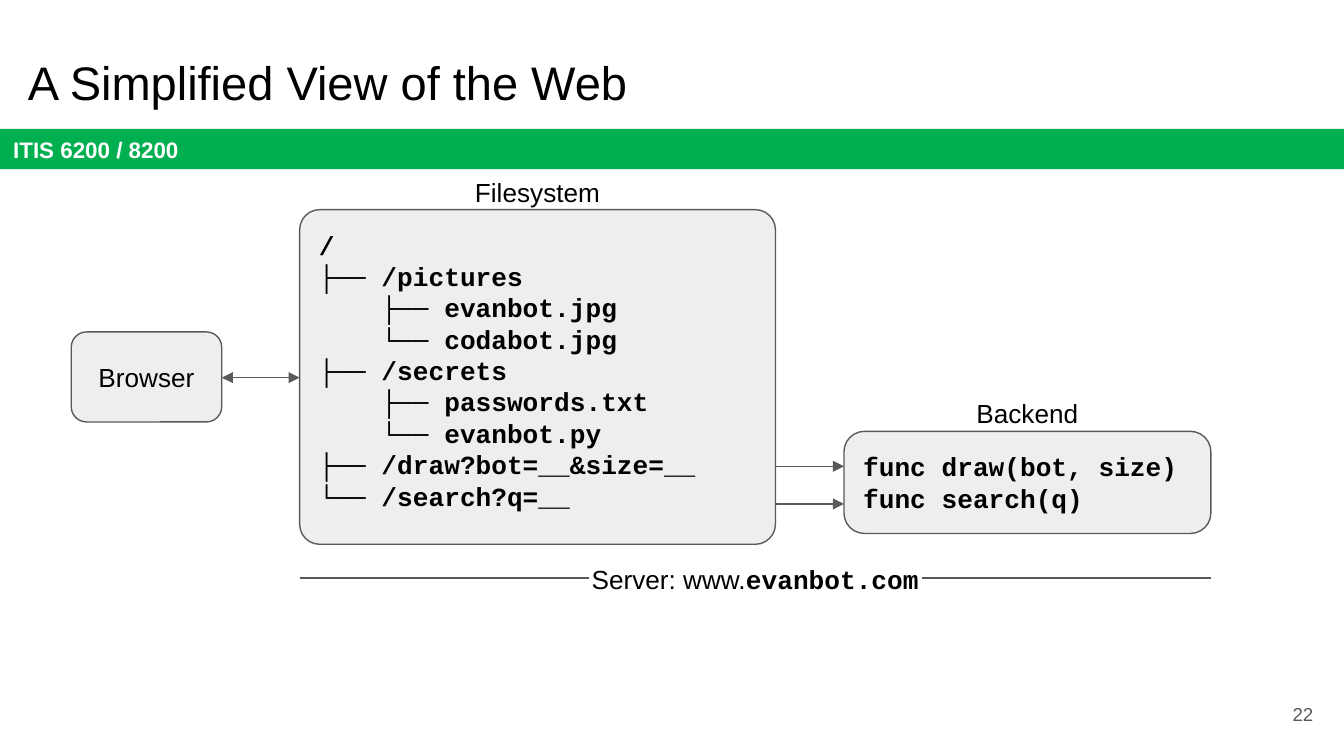
from lxml import etree
from pptx import Presentation
from pptx.dml.color import RGBColor
from pptx.enum.shapes import MSO_CONNECTOR, MSO_SHAPE
from pptx.enum.text import MSO_ANCHOR, PP_ALIGN
from pptx.oxml.ns import qn
from pptx.util import Inches, Pt

GREEN = RGBColor(0x00, 0xB0, 0x50)
WHITE = RGBColor(0xFF, 0xFF, 0xFF)
BLACK = RGBColor(0x00, 0x00, 0x00)
GRAY = RGBColor(0x59, 0x59, 0x59)
LIGHT_GRAY = RGBColor(0xEE, 0xEE, 0xEE)

STRAIGHT = MSO_CONNECTOR.STRAIGHT
RECTANGLE, ROUNDED = MSO_SHAPE.RECTANGLE, MSO_SHAPE.ROUNDED_RECTANGLE
TOP, MIDDLE = MSO_ANCHOR.TOP, MSO_ANCHOR.MIDDLE
LEFT, CENTER, RIGHT = PP_ALIGN.LEFT, PP_ALIGN.CENTER, PP_ALIGN.RIGHT
SANS, MONO = "Arial", "Courier New"

FILE_TREE = """/
├── /pictures
    ├── evanbot.jpg
    └── codabot.jpg
├── /secrets
    ├── passwords.txt
    └── evanbot.py
├── /draw?bot=__&size=__
└── /search?q=__"""
BACKEND_CODE = "func draw(bot, size)\nfunc search(q)"

# Shared edges of the diagram
SERVER_LEFT, SERVER_RIGHT = 2.23, 9.01
FILES_WIDTH = 3.54
BACKEND_LEFT, BACKEND_WIDTH = 6.28, 2.73
BROWSER_RIGHT, BROWSER_MIDDLE = 1.65, 2.81
SERVER_LINE_Y = 4.3

# Widescreen, 16:9
presentation = Presentation()
presentation.slide_width = Inches(10)
presentation.slide_height = Inches(10 * 9 / 16)
slide = presentation.slides.add_slide(presentation.slide_layouts[6])


def add_text(box, text="", kind=None, size=14, font=SANS, color=BLACK,
             bold=False, align=CENTER, anchor=TOP, radius=None):
    """Add a text box, or a filled preset shape when kind is given."""
    position = [Inches(length) for length in box]
    if kind is None:
        shape = slide.shapes.add_textbox(*position)
    else:
        shape = slide.shapes.add_shape(kind, *position)
        shape.shadow.inherit = False
        shape.fill.solid()
        shape.fill.fore_color.rgb = LIGHT_GRAY
        shape.line.color.rgb = GRAY
        shape.line.width = Pt(0.75)
        if radius is not None:
            shape.adjustments[0] = radius
    frame = shape.text_frame
    frame.word_wrap = True
    frame.vertical_anchor = anchor
    frame.margin_left = frame.margin_right = Inches(0.1)
    frame.margin_top = frame.margin_bottom = Inches(0.1)
    frame.text = text
    for paragraph in frame.paragraphs:
        paragraph.alignment = align
        for run in paragraph.runs:
            run.font.name = font
            run.font.size = Pt(size)
            run.font.bold = bold
            run.font.color.rgb = color
    return shape


def add_line(left, right, y, arrowheads=()):
    line = slide.shapes.add_connector(
        STRAIGHT, Inches(left), Inches(y), Inches(right), Inches(y))
    line.line.color.rgb = GRAY
    line.line.width = Pt(0.75)
    outline = line.line._get_or_add_ln()
    for end in arrowheads:
        etree.SubElement(outline, qn(f"a:{end}"), type="triangle")
    etree.SubElement(line._element.spPr, qn("a:effectLst"))


# Title, course bar and page number
course_bar = add_text((0, 0.96, 10, 0.3), "ITIS 6200 / 8200", RECTANGLE,
                      size=12, color=WHITE, bold=True, align=LEFT, anchor=MIDDLE)
course_bar.fill.fore_color.rgb = GREEN
course_bar.line.fill.background()
add_text((0.11, 0.3, 9.32, 0.63), "A Simplified View of the Web",
         size=25.2, align=LEFT)
add_text((9.27, 5.1, 0.6, 0.43), "22", size=10, color=GRAY,
         align=RIGHT, anchor=MIDDLE)

# Backend; its arrows start behind the filesystem box
for start, y in ((5.18, 3.47), (4.41, 3.75)):
    add_line(start, BACKEND_LEFT, y, ("headEnd", "tailEnd"))
add_text((BACKEND_LEFT, 3.21, BACKEND_WIDTH, 0.76), BACKEND_CODE, ROUNDED,
         font=MONO, bold=True, align=LEFT, radius=0.2)
add_text((BACKEND_LEFT, 2.86, BACKEND_WIDTH, 0.44), "Backend")

# Browser
add_text((0.53, 2.47, 1.12, 0.67), "Browser", ROUNDED, anchor=MIDDLE, radius=0.17)
add_line(BROWSER_RIGHT, SERVER_LEFT, BROWSER_MIDDLE, ("headEnd", "tailEnd"))

# Filesystem
add_text((SERVER_LEFT, 1.56, FILES_WIDTH, 2.49), FILE_TREE, ROUNDED,
         font=MONO, bold=True, align=LEFT, radius=0.06)
add_text((SERVER_LEFT, 1.21, FILES_WIDTH, 0.44), "Filesystem")

# Server caption between two lines
caption = add_text((SERVER_LEFT, 4.09, SERVER_RIGHT - SERVER_LEFT, 0.44),
                   "Server: www.")
domain = caption.text_frame.paragraphs[0].add_run()
domain.text = "evanbot.com"
domain.font.name = MONO
domain.font.size = Pt(14)
domain.font.bold = True
domain.font.color.rgb = BLACK
for left, right in ((SERVER_LEFT, 4.38), (6.86, SERVER_RIGHT)):
    add_line(left, right, SERVER_LINE_Y)

presentation.save("out.pptx")
